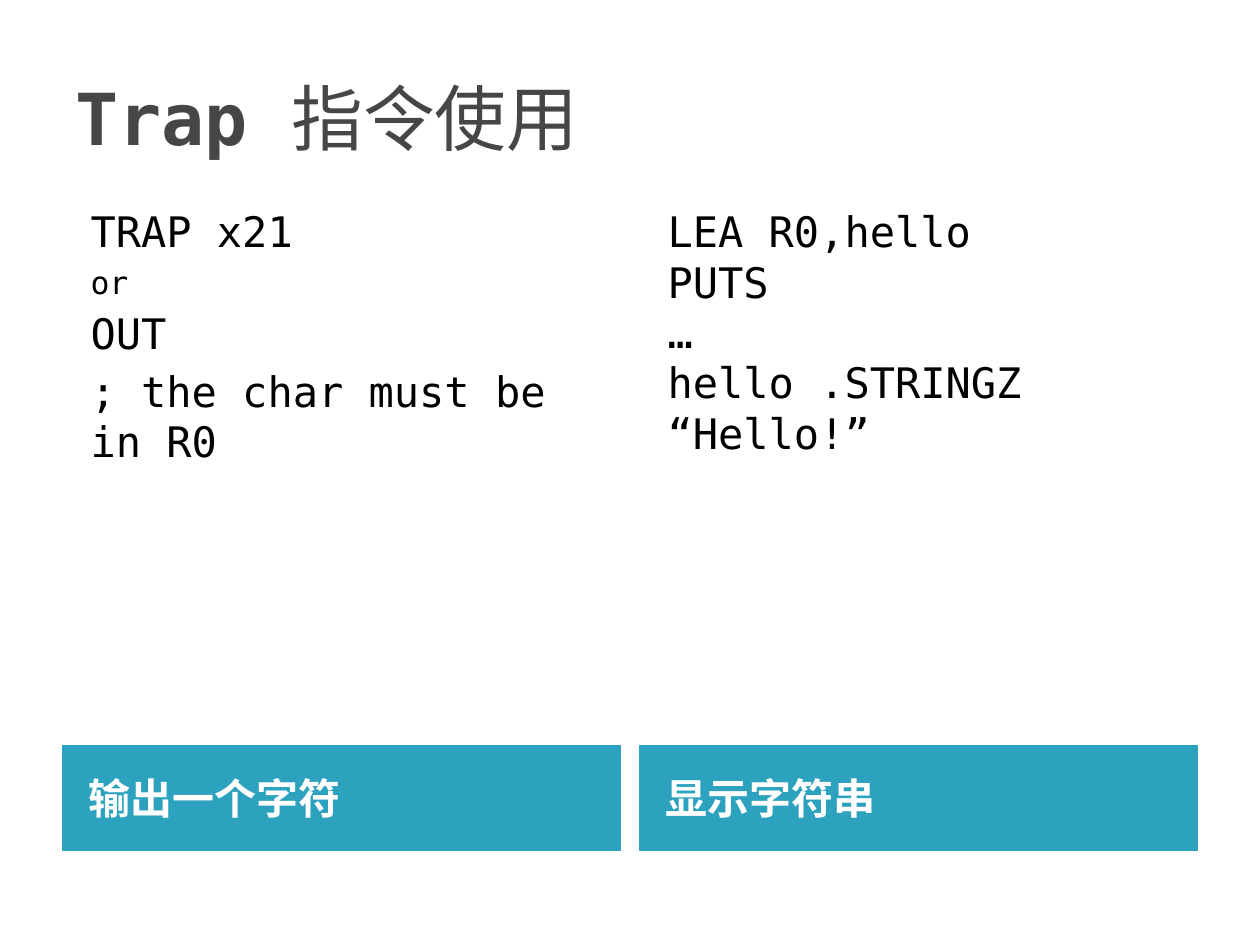
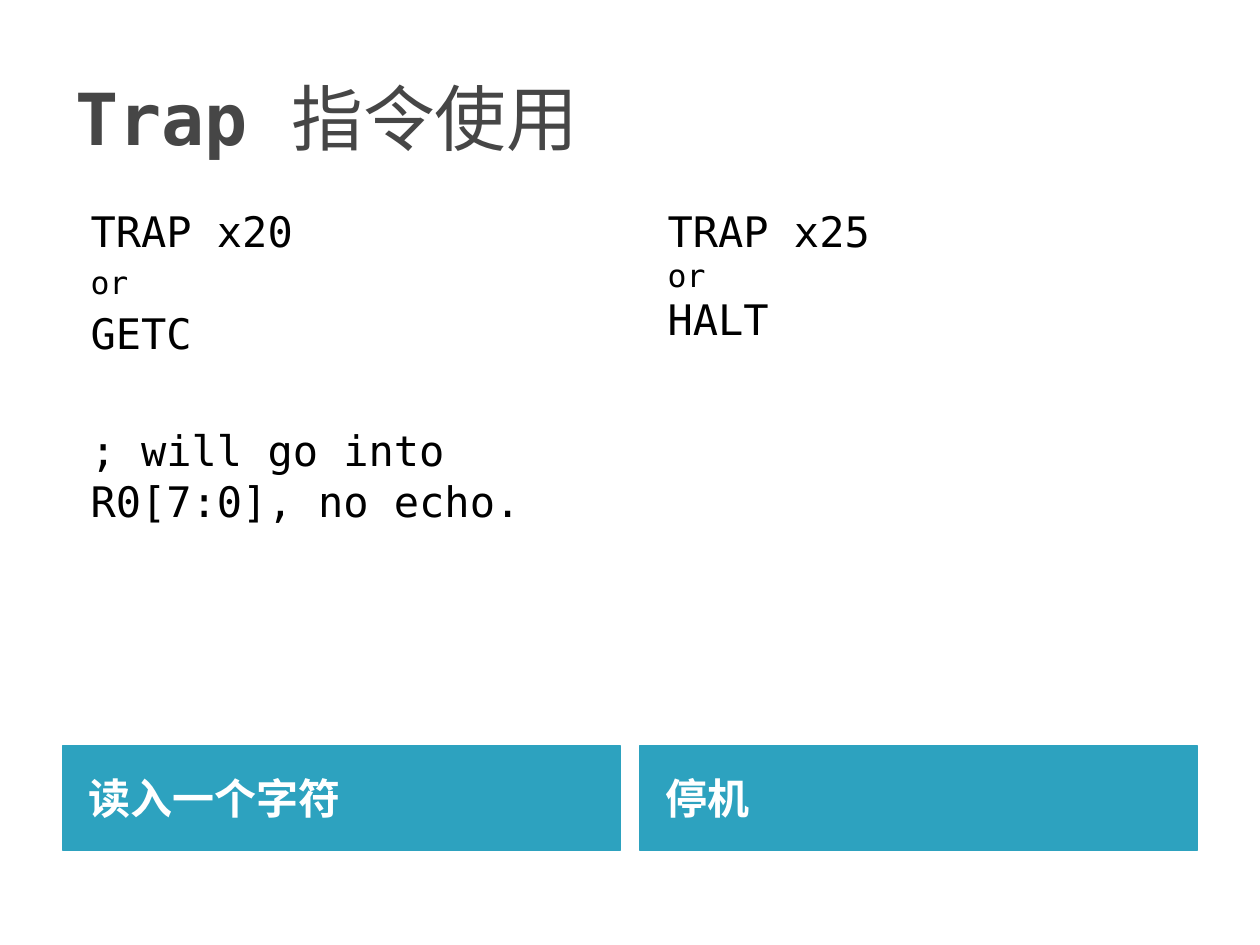
from lxml import etree
from pptx import Presentation
from pptx.dml.color import RGBColor
from pptx.enum.lang import MSO_LANGUAGE_ID
from pptx.enum.shapes import MSO_SHAPE
from pptx.enum.text import MSO_ANCHOR, PP_ALIGN
from pptx.oxml.ns import qn
from pptx.util import Pt

RECTANGLE = MSO_SHAPE.RECTANGLE
MIDDLE = MSO_ANCHOR.MIDDLE
TOP = MSO_ANCHOR.TOP
LEFT = PP_ALIGN.LEFT
CHINESE = MSO_LANGUAGE_ID.SIMPLIFIED_CHINESE

COLORS = {"title": "464646", "band": "2DA2BF", "caption": "FFFFFF", "code": "000000"}
MONO = "DejaVu Sans Mono"
SANS = "Arial"

MARGIN = 36
COLUMN_WIDTH = 318.24
COLUMN_STEP = 329.76
CODE_INDENT = 8.64
CODE_SIZE = 24
NOTE_SIZE = 18
LINE_GAP = 4
SECTION_GAP = 38

SLIDES = [
    [
        {
            "caption": "输出一个字符",
            "code": [
                ("TRAP x21", CODE_SIZE, LINE_GAP),
                ("or", NOTE_SIZE, LINE_GAP),
                ("OUT", CODE_SIZE, LINE_GAP),
                ("; the char must be in R0", CODE_SIZE, LINE_GAP),
            ],
        },
        {
            "caption": "显示字符串",
            "code": [
                ("LEA R0,hello", CODE_SIZE, 0),
                ("PUTS", CODE_SIZE, 0),
                ("…", CODE_SIZE, 0),
                ("hello .STRINGZ “Hello!”", CODE_SIZE, 0),
            ],
        },
    ],
    [
        {
            "caption": "读入一个字符",
            "code": [
                ("TRAP x20", CODE_SIZE, LINE_GAP),
                ("or", NOTE_SIZE, LINE_GAP),
                ("GETC", CODE_SIZE, LINE_GAP),
                ("; will go into R0[7:0], no echo.", CODE_SIZE, SECTION_GAP),
            ],
        },
        {
            "caption": "停机",
            "code": [
                ("TRAP x25", CODE_SIZE, 0),
                ("or", NOTE_SIZE, 0),
                ("HALT", CODE_SIZE, 0),
            ],
        },
    ],
]


def color(name):
    return RGBColor.from_string(COLORS[name])


def add_text(paragraph, text, *, size, fill, font=MONO, bold=False, language=None):
    run = paragraph.add_run()
    run.text = text
    run.font.size = Pt(size)
    run.font.bold = bold
    run.font.color.rgb = color(fill)
    run.font.name = font
    if language:
        run.font.language_id = language
    east_asian = etree.SubElement(run.font._element, qn("a:ea"))
    east_asian.set("typeface", font)


def set_frame(frame, anchor, left_inset=7.2):
    frame.word_wrap = True
    frame.vertical_anchor = anchor
    frame.margin_left = Pt(left_inset)
    frame.margin_right = Pt(7.2)
    frame.margin_top = frame.margin_bottom = Pt(3.6)
    return frame


def add_title(slide):
    title = slide.shapes.add_textbox(Pt(MARGIN), Pt(21.6), Pt(648), Pt(90))
    heading = set_frame(title.text_frame, MIDDLE).paragraphs[0]
    add_text(heading, "Trap ", size=41, fill="title", bold=True)
    add_text(heading, "指令使用", size=41, fill="title", font=SANS, language=CHINESE)


def add_caption_band(slide, left, caption):
    band = slide.shapes.add_shape(
        RECTANGLE, Pt(left), Pt(426), Pt(COLUMN_WIDTH), Pt(60)
    )
    band.shadow.inherit = False
    band.fill.solid()
    band.fill.fore_color.rgb = color("band")
    band.line.color.rgb = color("band")
    band.line.width = Pt(0.75)
    label = set_frame(band.text_frame, MIDDLE, left_inset=14.4).paragraphs[0]
    label.alignment = LEFT
    label.space_before = Pt(LINE_GAP)
    add_text(label, caption, size=24, fill="caption", bold=True, language=CHINESE)


def add_code(slide, left, lines):
    listing = slide.shapes.add_textbox(
        Pt(left), Pt(114), Pt(COLUMN_WIDTH), Pt(310)
    )
    frame = set_frame(listing.text_frame, TOP)
    for index, (text, size, gap) in enumerate(lines):
        line = frame.add_paragraph() if index else frame.paragraphs[0]
        line.space_before = Pt(gap)
        properties = line._p.get_or_add_pPr()
        properties.set("marL", str(Pt(CODE_INDENT)))
        properties.set("indent", "0")
        add_text(line, text, size=size, fill="code")


def main():
    deck = Presentation()
    deck.slide_width = Pt(720)
    deck.slide_height = Pt(540)
    for columns in SLIDES:
        slide = deck.slides.add_slide(deck.slide_layouts[6])
        add_title(slide)
        for index, column in enumerate(columns):
            left = MARGIN + index * COLUMN_STEP
            add_caption_band(slide, left, column["caption"])
            add_code(slide, left, column["code"])
    deck.save("out.pptx")


if __name__ == "__main__":
    main()
